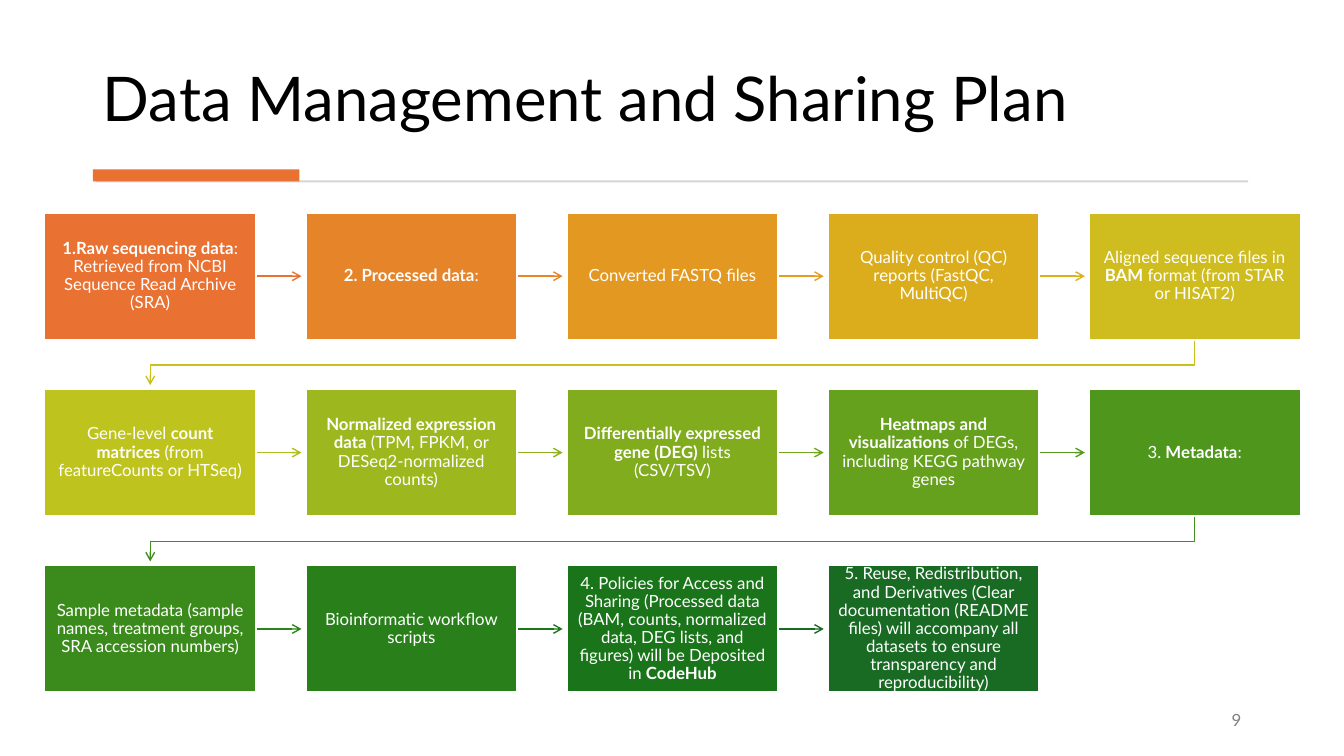
from lxml.etree import SubElement
from pptx import Presentation
from pptx.dml.color import RGBColor
from pptx.enum.shapes import MSO_CONNECTOR, MSO_SHAPE
from pptx.enum.text import MSO_ANCHOR, PP_ALIGN
from pptx.oxml.ns import qn
from pptx.util import Inches, Pt

FONT = "Lato"
COLUMNS = 5
LEFT, TOP = 0.44, 2.11
BOX_WIDTH, BOX_HEIGHT = 2.1, 1.26
COLUMN_STEP, ROW_STEP = 2.59, 1.75
ARROW_LENGTH = 0.45

# Each step: box colour, colour of the arrow that leaves it, (text, bold) runs.
STEPS = [
    ("E97132", "E97132", [("1.Raw sequencing data", True),
                          (": Retrieved from NCBI Sequence Read Archive (SRA)", False)]),
    ("E68429", "E68628", [("2. Processed data", True), (":", False)]),
    ("E39921", "E39D1F", [("Converted FASTQ files", False)]),
    ("DBAD1D", "D8B11D", [("Quality control (QC) reports (FastQC, MultiQC)", False)]),
    ("CFBC1E", "CBC11E", [("Aligned sequence files in ", False), ("BAM", True),
                          (" format (from STAR or HISAT2)", False)]),
    ("BEC31E", "B0BE1E", [("Gene-level ", False), ("count matrices", True),
                          (" (from featureCounts or HTSeq)", False)]),
    ("9DB81E", "8EB21E", [("Normalized expression data", True),
                          (" (TPM, FPKM, or DESeq2-normalized counts)", False)]),
    ("80AC1E", "71A61D", [("Differentially expressed gene (DEG)", True),
                          (" lists (CSV/TSV)", False)]),
    ("66A11D", "56991D", [("Heatmaps and visualizations", True),
                          (" of DEGs, including KEGG pathway genes", False)]),
    ("4F961D", "408E1C", [("3.", False), (" Metadata", True), (":", False)]),
    ("3B8B1C", "2C821B", [("Sample metadata (sample names, treatment groups, "
                           "SRA accession numbers)", False)]),
    ("29801B", "1C761A", [("Bioinformatic workflow scripts", False)]),
    ("1A751A", "196B24", [("4. Policies for Access and Sharing (Processed data (BAM, counts, "
                           "normalized data, DEG lists, and figures) will be Deposited in ", False),
                          ("CodeHub", True)]),
    ("196B24", None, [("5. Reuse, Redistribution, and Derivatives (Clear documentation "
                       "(README files) will accompany all datasets to ensure transparency "
                       "and reproducibility)", False)]),
]


def color(value):
    return RGBColor.from_string(value)


def write_text(shape, runs, size, text_color, alignment, anchor, line_spacing=0.9):
    frame = shape.text_frame
    frame.word_wrap = True
    frame.vertical_anchor = anchor
    paragraph = frame.paragraphs[0]
    paragraph.alignment = alignment
    paragraph.line_spacing = line_spacing
    for text, bold in runs:
        run = paragraph.add_run()
        run.text = text
        run.font.name = FONT
        run.font.size = Pt(size)
        run.font.bold = bold
        run.font.color.rgb = color(text_color)


def add_text(slide, box, text, size, text_color, alignment, anchor):
    shape = slide.shapes.add_textbox(*map(Inches, box))
    write_text(shape, [(text, False)], size, text_color, alignment, anchor)


def add_rectangle(slide, box, fill):
    shape = slide.shapes.add_shape(MSO_SHAPE.RECTANGLE, *map(Inches, box))
    shape.shadow.inherit = False
    shape.fill.solid()
    shape.fill.fore_color.rgb = color(fill)
    shape.line.fill.background()
    return shape


def add_step(slide, left, top, fill, runs):
    shape = add_rectangle(slide, (left, top, BOX_WIDTH, BOX_HEIGHT), fill)
    shape.line.color.rgb = color("FFFFFF")
    shape.line.width = Pt(1.5)
    frame = shape.text_frame
    frame.margin_left = frame.margin_right = Inches(0.1)
    frame.margin_top = frame.margin_bottom = Inches(0.11)
    write_text(shape, runs, 12, "FFFFFF", PP_ALIGN.CENTER, MSO_ANCHOR.MIDDLE)


def style_arrow(shape, line_color):
    shape.line.color.rgb = color(line_color)
    shape.line.width = Pt(1)
    SubElement(shape.line._get_or_add_ln(), qn("a:tailEnd"), type="arrow")


def add_row_arrow(slide, left, top, line_color):
    start = left + BOX_WIDTH
    middle = Inches(top + BOX_HEIGHT / 2)
    connector = slide.shapes.add_connector(
        MSO_CONNECTOR.STRAIGHT, Inches(start), middle, Inches(start + ARROW_LENGTH), middle)
    style_arrow(connector, line_color)
    SubElement(connector._element.spPr, qn("a:effectLst"))


def add_return_arrow(slide, left, top, line_color):
    start_x = Inches(left + BOX_WIDTH / 2)
    end_x = Inches(LEFT + BOX_WIDTH / 2)
    bottom = top + BOX_HEIGHT
    turn_y = Inches(bottom + 0.25)
    builder = slide.shapes.build_freeform(start_x, Inches(bottom))
    builder.add_line_segments(
        [(start_x, turn_y), (end_x, turn_y), (end_x, Inches(bottom + ARROW_LENGTH))], close=False)
    shape = builder.convert_to_shape()
    shape.shadow.inherit = False
    shape.fill.background()
    style_arrow(shape, line_color)


def add_flow(slide):
    for index, (fill, arrow_color, runs) in enumerate(STEPS):
        row, column = divmod(index, COLUMNS)
        left = LEFT + column * COLUMN_STEP
        top = TOP + row * ROW_STEP
        if arrow_color:
            add_arrow = add_return_arrow if column == COLUMNS - 1 else add_row_arrow
            add_arrow(slide, left, top, arrow_color)
        add_step(slide, left, top, fill, runs)


def main():
    presentation = Presentation()
    presentation.slide_width = Inches(13.33)
    presentation.slide_height = Inches(7.5)
    slide = presentation.slides.add_slide(presentation.slide_layouts[6])
    add_text(slide, (0.92, 0.28, 11.49, 1.11), "Data Management and Sharing Plan",
             44, "000000", PP_ALIGN.LEFT, MSO_ANCHOR.BOTTOM)
    add_rectangle(slide, (0.95, 1.79, 11.43, 0.02), "D5D5D5")
    add_rectangle(slide, (0.92, 1.68, 2.05, 0.12), "E97132")
    add_text(slide, (9.7, 6.95, 2.71, 0.4), "9", 12, "808080", PP_ALIGN.RIGHT, MSO_ANCHOR.MIDDLE)
    add_flow(slide)
    presentation.save("out.pptx")


if __name__ == "__main__":
    main()
